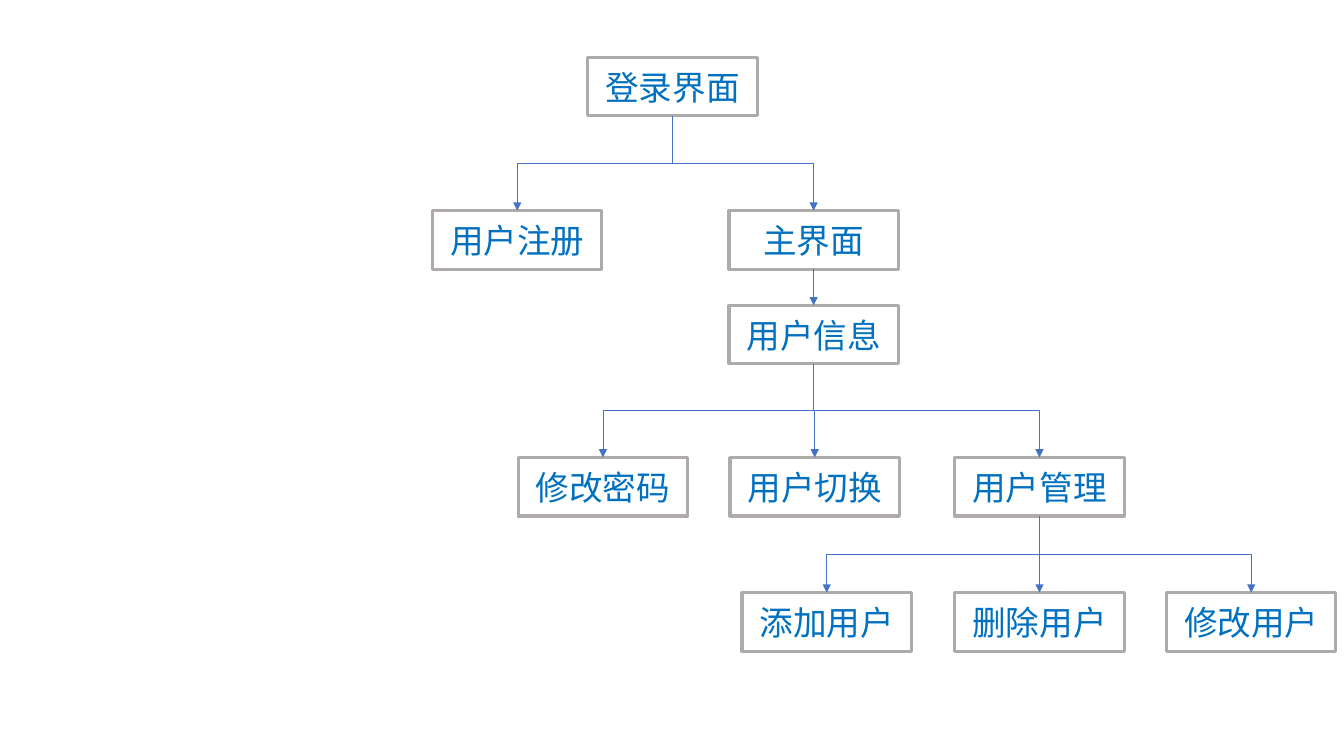
from lxml.etree import SubElement
from pptx import Presentation
from pptx.dml.color import RGBColor
from pptx.enum.shapes import MSO_CONNECTOR as CONNECTOR, MSO_SHAPE as SHAPE
from pptx.enum.text import MSO_ANCHOR as ANCHOR, PP_ALIGN as ALIGN
from pptx.oxml.ns import qn
from pptx.util import Inches, Pt

FONT = "Noto Sans CJK SC"
BOX_WIDTH, BOX_HEIGHT = 1.68, 0.58
BOTTOM_SITE, TOP_SITE = 2, 0

# Screen name: left, top, parent screen
SCREENS = {
    "登录界面": (5.83, 0.57, None),
    "用户注册": (4.29, 2.09, "登录界面"),
    "主界面": (7.23, 2.09, "登录界面"),
    "用户信息": (7.23, 3.03, "主界面"),
    "修改密码": (5.14, 4.54, "用户信息"),
    "用户切换": (7.24, 4.54, "用户信息"),
    "用户管理": (9.47, 4.54, "用户信息"),
    "添加用户": (7.36, 5.88, "用户管理"),
    "删除用户": (9.47, 5.88, "用户管理"),
    "修改用户": (11.57, 5.88, "用户管理"),
}


def set_line(line, color, width):
    """Give a line its hex colour and its width in points."""
    line.color.rgb = RGBColor.from_string(color)
    line.width = Pt(width)


def write_text(shape, text, size=24, color="0070C0", align=ALIGN.CENTER):
    """Write one formatted paragraph in the middle of a shape."""
    frame = shape.text_frame
    frame.word_wrap = True
    frame.vertical_anchor = ANCHOR.MIDDLE
    paragraph = frame.paragraphs[0]
    paragraph.alignment = align
    run = paragraph.add_run()
    run.text = text
    run.font.size = Pt(size)
    run.font.name = FONT
    run.font.color.rgb = RGBColor.from_string(color)
    SubElement(run.font._element, qn("a:ea"), typeface=FONT)


presentation = Presentation()
presentation.slide_width = Inches(13.33)
presentation.slide_height = Inches(7.5)
slide = presentation.slides.add_slide(presentation.slide_layouts[6])

# Screen boxes
boxes = {}
for name, (left, top, parent) in SCREENS.items():
    box = slide.shapes.add_shape(SHAPE.RECTANGLE, Inches(left), Inches(top),
                                 Inches(BOX_WIDTH), Inches(BOX_HEIGHT))
    box.shadow.inherit = False
    box.fill.background()
    set_line(box.line, "AFABAB", 2.25)
    write_text(box, name)
    boxes[name] = box

# Arrows from the bottom of each parent to the top of its child
for name, (left, top, parent) in SCREENS.items():
    if parent is None:
        continue
    parent_left, parent_top, _ = SCREENS[parent]
    across = left - parent_left
    down = top - parent_top - BOX_HEIGHT
    kind = CONNECTOR.ELBOW if across else CONNECTOR.STRAIGHT
    arrow = slide.shapes.add_connector(kind, 0, 0, 0, 0)
    arrow.begin_connect(boxes[parent], BOTTOM_SITE)
    arrow.end_connect(boxes[name], TOP_SITE)
    properties = arrow._element.spPr

    # An elbow that leaves downwards is a sideways elbow turned a quarter
    if across:
        center_x = (left + parent_left + BOX_WIDTH) / 2
        center_y = top - down / 2
        arrow.left = Inches(center_x - down / 2)
        arrow.top = Inches(center_y - abs(across) / 2)
        arrow.width, arrow.height = Inches(down), Inches(abs(across))
        transform = properties.find(qn("a:xfrm"))
        transform.set("rot", str((90 if across < 0 else 270) * 60000))
        transform.set("flipH", "0" if across < 0 else "1")
        transform.set("flipV", "0")

    set_line(arrow.line, "4472C4", 0.5)
    SubElement(properties.find(qn("a:ln")), qn("a:tailEnd"), type="triangle")
    SubElement(properties, qn("a:effectLst"))

presentation.save("out.pptx")
